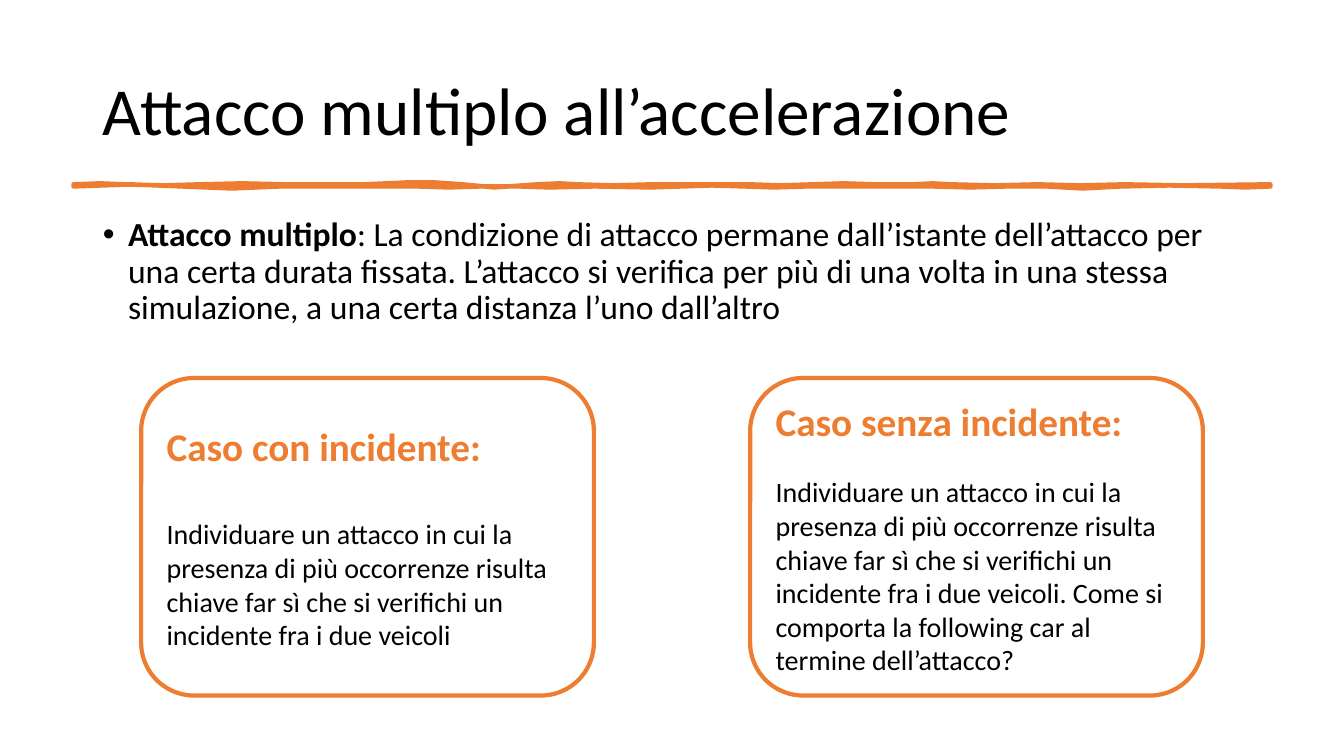
from dataclasses import dataclass

from pptx import Presentation
from pptx.dml.color import RGBColor
from pptx.enum.shapes import MSO_SHAPE
from pptx.enum.text import MSO_ANCHOR, MSO_AUTO_SIZE, PP_ALIGN
from pptx.util import Emu, Pt

# Content
HEADING = "Attacco multiplo all’accelerazione"
DEFINITION = (
    "Attacco multiplo",
    ": La condizione di attacco permane dall’istante dell’attacco per una certa "
    "durata fissata. L’attacco si verifica per più di una volta in una stessa "
    "simulazione, a una certa distanza l’uno dall’altro",
)
# Case heading, description, gap between them in points
CASES = [
    ("Caso con incidente:",
     "Individuare un attacco in cui la presenza di più occorrenze risulta chiave "
     "far sì che si verifichi un incidente fra i due veicoli", 34),
    ("Caso senza incidente:",
     "Individuare un attacco in cui la presenza di più occorrenze risulta chiave "
     "far sì che si verifichi un incidente fra i due veicoli. Come si comporta la "
     "following car al termine dell’attacco?", 22),
]

# Hand-drawn rule: upper edge from left to right, lower edge back again
RULE_UPPER = [
    (73, 183), (99, 182), (124, 183), (162, 184), (198, 183), (240, 182),
    (284, 183), (361, 183), (405, 181), (430, 181), (459, 183), (490, 186),
    (533, 183), (555, 182), (572, 183), (609, 184), (646, 183), (744, 183),
    (775, 184), (806, 183), (837, 182), (868, 183), (905, 183), (925, 182),
    (943, 183), (986, 184), (1029, 183), (1072, 184), (1115, 183),
    (1174, 184), (1260, 183),
]
RULE_LOWER = [
    (1260, 185), (1235, 186), (1210, 185), (1160, 184), (1112, 185),
    (1074, 187), (1038, 185), (999, 185), (962, 186), (925, 185), (800, 185),
    (768, 186), (738, 185), (706, 184), (676, 185), (645, 186), (590, 185),
    (545, 186), (515, 185), (490, 185), (477, 185), (445, 186), (414, 185),
    (372, 185), (328, 185), (278, 185), (230, 187), (180, 185), (130, 183),
    (73, 185),
]


@dataclass(frozen=True)
class Theme:
    font: str = "Calibri"
    ink: RGBColor = RGBColor(0, 0, 0)
    paper: RGBColor = RGBColor(255, 255, 255)
    accent: RGBColor = RGBColor(0xED, 0x7D, 0x31)
    title: int = 48
    body: int = 24
    case_heading: int = 28
    case_text: int = 20


THEME = Theme()
PX = 9144  # 100 px to the inch

# Layout in px: left, top, width, height
SLIDE_SIZE = (1333, 750)
TITLE_BOX = (92, 40, 1150, 145)
BODY_BOX = (92, 211, 1150, 465)
CARD_LEFT, CARD_TOP, CARD_WIDTH, CARD_HEIGHT = 140, 375, 449, 315
CARD_STEP = 604
BULLET_INDENT = 25


def px(length):
    return Emu(length * PX)


def place(shape, box):
    shape.left, shape.top, shape.width, shape.height = map(px, box)


def style(run, size, color=THEME.ink, bold=False):
    run.font.name = THEME.font
    run.font.size = Pt(size)
    run.font.color.rgb = color
    run.font.bold = bold


def paint(shape, fill, weight):
    shape.shadow.inherit = False
    shape.fill.solid()
    shape.fill.fore_color.rgb = fill
    shape.line.color.rgb = THEME.accent
    shape.line.width = Pt(weight)


def add_title(slide):
    title = slide.shapes.title
    place(title, TITLE_BOX)
    frame = title.text_frame
    frame.text = HEADING
    frame.auto_size = MSO_AUTO_SIZE.NONE
    frame.vertical_anchor = MSO_ANCHOR.MIDDLE
    heading = frame.paragraphs[0]
    heading.alignment = PP_ALIGN.LEFT
    heading.line_spacing = 0.9
    style(heading.runs[0], THEME.title)


def add_rule(slide):
    start, *rest = RULE_UPPER + RULE_LOWER
    builder = slide.shapes.build_freeform(*start, scale=PX)
    builder.add_line_segments(rest, close=True)
    paint(builder.convert_to_shape(), THEME.accent, 3.25)


def add_definition(slide):
    body = slide.placeholders[1]
    place(body, BODY_BOX)
    frame = body.text_frame
    frame.auto_size = MSO_AUTO_SIZE.NONE
    definition = frame.paragraphs[0]
    definition.line_spacing = 0.9
    definition.space_before = Pt(10)
    for wording, bold in zip(DEFINITION, (True, False)):
        run = definition.add_run()
        run.text = wording
        style(run, THEME.body, bold=bold)
    # Hanging bullet
    properties = definition._p.get_or_add_pPr()
    properties.set("marL", str(px(BULLET_INDENT)))
    properties.set("indent", str(-px(BULLET_INDENT)))


def add_case(slide, index, heading, description, gap):
    card = slide.shapes.add_shape(MSO_SHAPE.ROUNDED_RECTANGLE, 0, 0, 0, 0)
    place(card, (CARD_LEFT + index * CARD_STEP, CARD_TOP, CARD_WIDTH, CARD_HEIGHT))
    paint(card, THEME.paper, 3)
    frame = card.text_frame
    frame.word_wrap = True
    frame.vertical_anchor = MSO_ANCHOR.MIDDLE
    frame.text = f"{heading}\n{description}"
    top, bottom = frame.paragraphs
    top.alignment = bottom.alignment = PP_ALIGN.LEFT
    bottom.space_before = Pt(gap)
    style(top.runs[0], THEME.case_heading, THEME.accent, bold=True)
    style(bottom.runs[0], THEME.case_text)


def main():
    deck = Presentation()
    deck.slide_width, deck.slide_height = map(px, SLIDE_SIZE)
    slide = deck.slides.add_slide(deck.slide_layouts[1])
    add_title(slide)
    add_rule(slide)
    add_definition(slide)
    for index, case in enumerate(CASES):
        add_case(slide, index, *case)
    deck.save("out.pptx")


if __name__ == "__main__":
    main()
